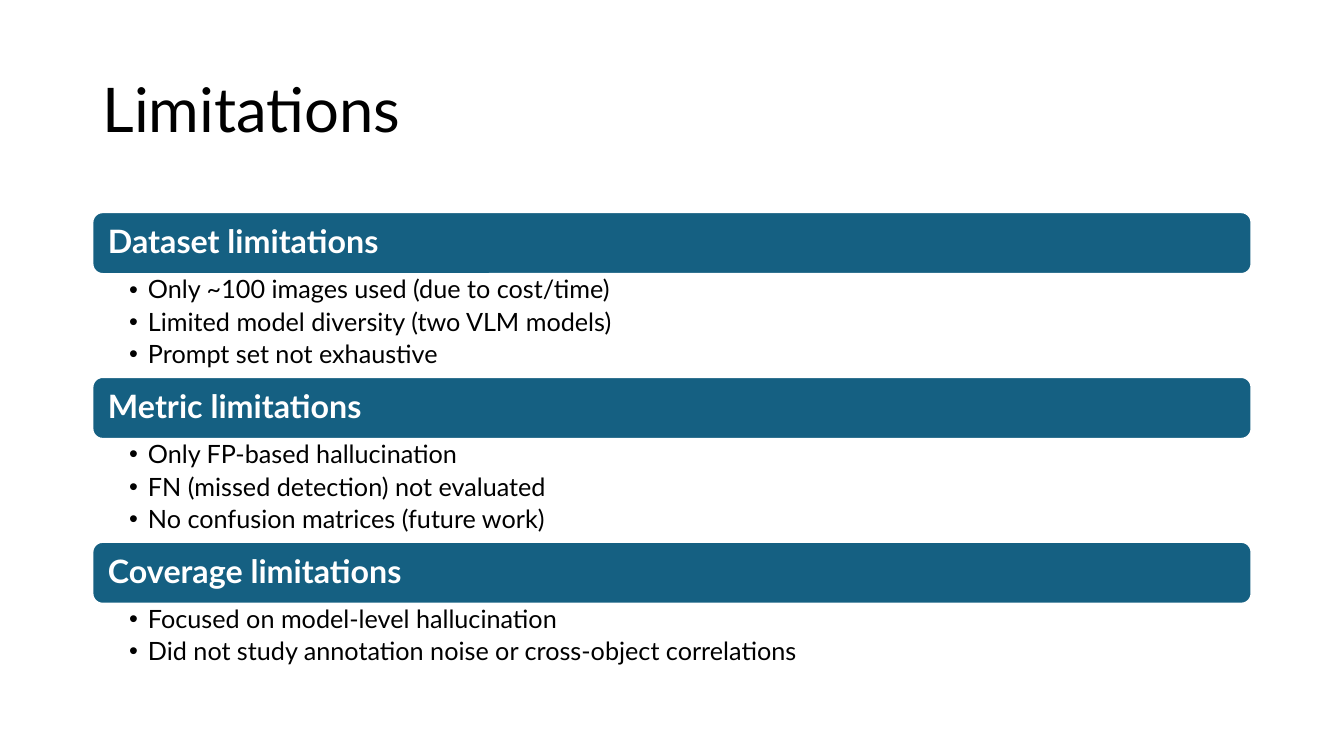
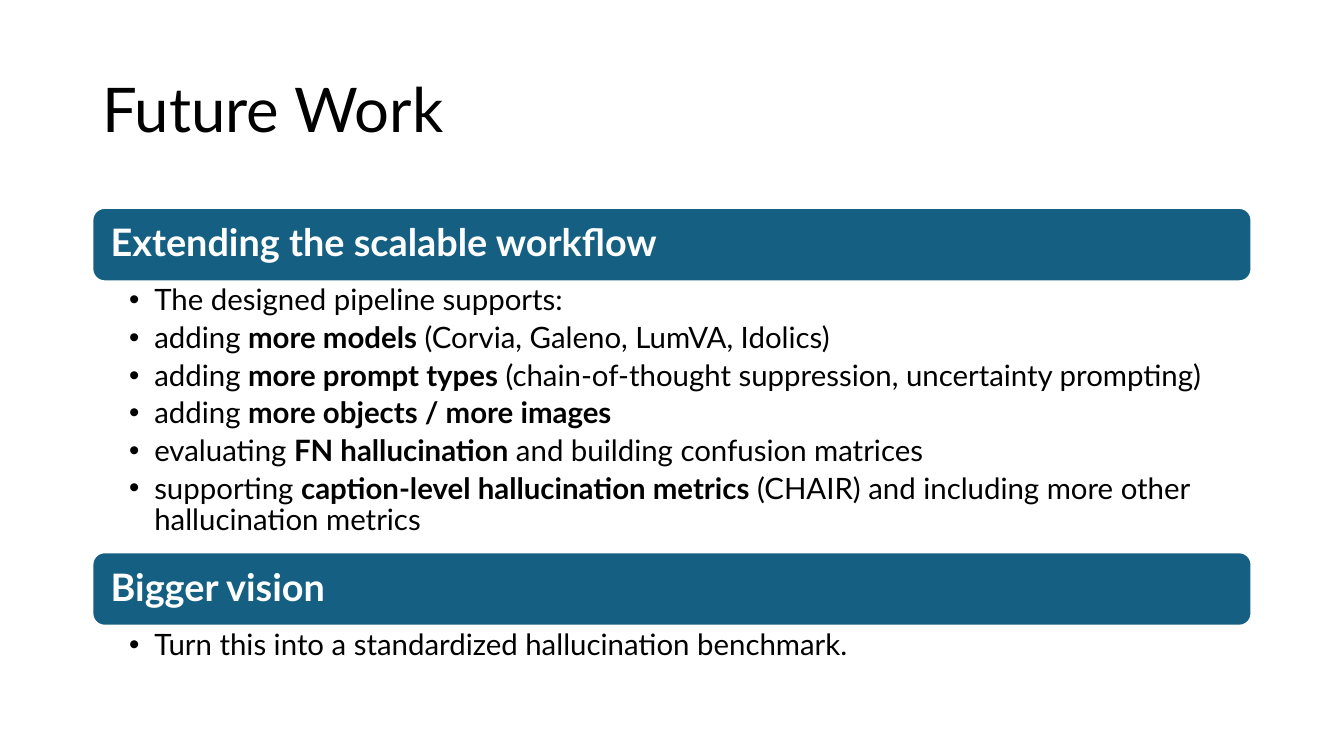
from lxml.etree import SubElement
from pptx import Presentation
from pptx.dml.color import RGBColor
from pptx.enum.shapes import MSO_SHAPE
from pptx.enum.text import MSO_ANCHOR, MSO_AUTO_SIZE, PP_ALIGN
from pptx.oxml.ns import qn
from pptx.util import Emu, Pt

EMU_PER_PX = 9525
COLORS = {"band": "156082", "text": "000000", "paper": "FFFFFF"}
FONT = "Lato"
LEFT, WIDTH = 88, 1104
BULLET_LEFT = 35

COMPACT = {"band": 59, "heading": 23, "heading_inset": 12, "body": 18,
           "hang": 18, "inset": 3, "right": 17}
ROOMY = {"band": 70, "heading": 27, "heading_inset": 14, "body": 21,
         "hang": 24, "inset": 4, "right": 20}

LIMITATIONS = [
    ("Dataset limitations", 98, [
        "Only ~100 images used (due to cost/time)",
        "Limited model diversity (two VLM models)",
        "Prompt set not exhaustive",
    ]),
    ("Metric limitations", 98, [
        "Only FP-based hallucination",
        "FN (missed detection) not evaluated",
        "No confusion matrices (future work)",
    ]),
    ("Coverage limitations", 65, [
        "Focused on model-level hallucination",
        "Did not study annotation noise or cross-object correlations",
    ]),
]

FUTURE_WORK = [
    ("Extending the scalable workflow", 258, [
        "The designed pipeline supports:",
        "adding **more models** (Corvia, Galeno, LumVA, Idolics)",
        "adding **more prompt types** (chain-of-thought suppression, uncertainty prompting)",
        "adding **more objects / more images**",
        "evaluating **FN hallucination** and building confusion matrices",
        "supporting **caption-level hallucination metrics** (CHAIR) and including "
        "more other hallucination metrics",
    ]),
    ("Bigger vision", 47, ["Turn this into a standardized hallucination benchmark."]),
]


def px(value):
    return Emu(value * EMU_PER_PX)


def color(name):
    return RGBColor.from_string(COLORS[name])


def style_run(run, size, color_name, bold=False):
    run.font.name = FONT
    run.font.size = Pt(size)
    run.font.bold = bold
    run.font.color.rgb = color(color_name)


def set_margins(frame, left, top, right, bottom):
    frame.margin_left, frame.margin_top = px(left), px(top)
    frame.margin_right, frame.margin_bottom = px(right), px(bottom)


def set_spacing(paragraph, after=0):
    paragraph.alignment = PP_ALIGN.LEFT
    paragraph.line_spacing = 0.9
    paragraph.space_after = Pt(after)


def add_bullet(paragraph, hang):
    properties = paragraph._p.get_or_add_pPr()
    properties.set("marL", str(px(hang)))
    properties.set("indent", str(-px(hang)))
    SubElement(properties, qn("a:buFont")).set("typeface", "Arial")
    SubElement(properties, qn("a:buChar")).set("char", "•")


def set_title(slide, text):
    title = slide.shapes.title
    title.left, title.top, title.width, title.height = px(LEFT), px(38), px(WIDTH), px(139)
    frame = title.text_frame
    frame.text = text
    frame.auto_size = MSO_AUTO_SIZE.NONE
    frame.vertical_anchor = MSO_ANCHOR.MIDDLE
    heading = frame.paragraphs[0]
    set_spacing(heading)
    style_run(heading.runs[0], 44, "text")


def add_band(slide, top, text, style):
    band = slide.shapes.add_shape(MSO_SHAPE.ROUNDED_RECTANGLE,
                                  px(LEFT), px(top), px(WIDTH), px(style["band"]))
    band.shadow.inherit = False
    band.fill.solid()
    band.fill.fore_color.rgb = color("band")
    band.line.color.rgb = color("paper")
    band.line.width = Pt(1.5)
    frame = band.text_frame
    frame.text = text
    frame.word_wrap = True
    frame.vertical_anchor = MSO_ANCHOR.MIDDLE
    inset = style["heading_inset"]
    set_margins(frame, inset, inset, inset, inset)
    heading = frame.paragraphs[0]
    set_spacing(heading, style["heading"] * 0.35)
    style_run(heading.runs[0], style["heading"], "paper", True)


def add_bullets(slide, top, height, points, style):
    body = slide.shapes.add_textbox(px(LEFT), px(top), px(WIDTH), px(height))
    frame = body.text_frame
    frame.word_wrap = True
    set_margins(frame, BULLET_LEFT, style["inset"], style["right"], style["inset"])
    for index, point in enumerate(points):
        paragraph = frame.add_paragraph() if index else frame.paragraphs[0]
        set_spacing(paragraph, style["body"] * 0.2)
        add_bullet(paragraph, style["hang"])
        for part, words in enumerate(point.split("**")):
            if words:
                run = paragraph.add_run()
                run.text = words
                style_run(run, style["body"], "text", part % 2 == 1)


def add_section_slide(deck, title, top, sections, style):
    slide = deck.slides.add_slide(deck.slide_layouts[5])
    set_title(slide, title)
    for heading, body_height, points in sections:
        add_band(slide, top, heading, style)
        top += style["band"]
        add_bullets(slide, top, body_height, points, style)
        top += body_height


def main():
    deck = Presentation()
    deck.slide_width, deck.slide_height = px(1280), px(720)
    add_section_slide(deck, "Limitations", 202, LIMITATIONS, COMPACT)
    add_section_slide(deck, "Future Work", 198, FUTURE_WORK, ROOMY)
    deck.save("out.pptx")


if __name__ == "__main__":
    main()
